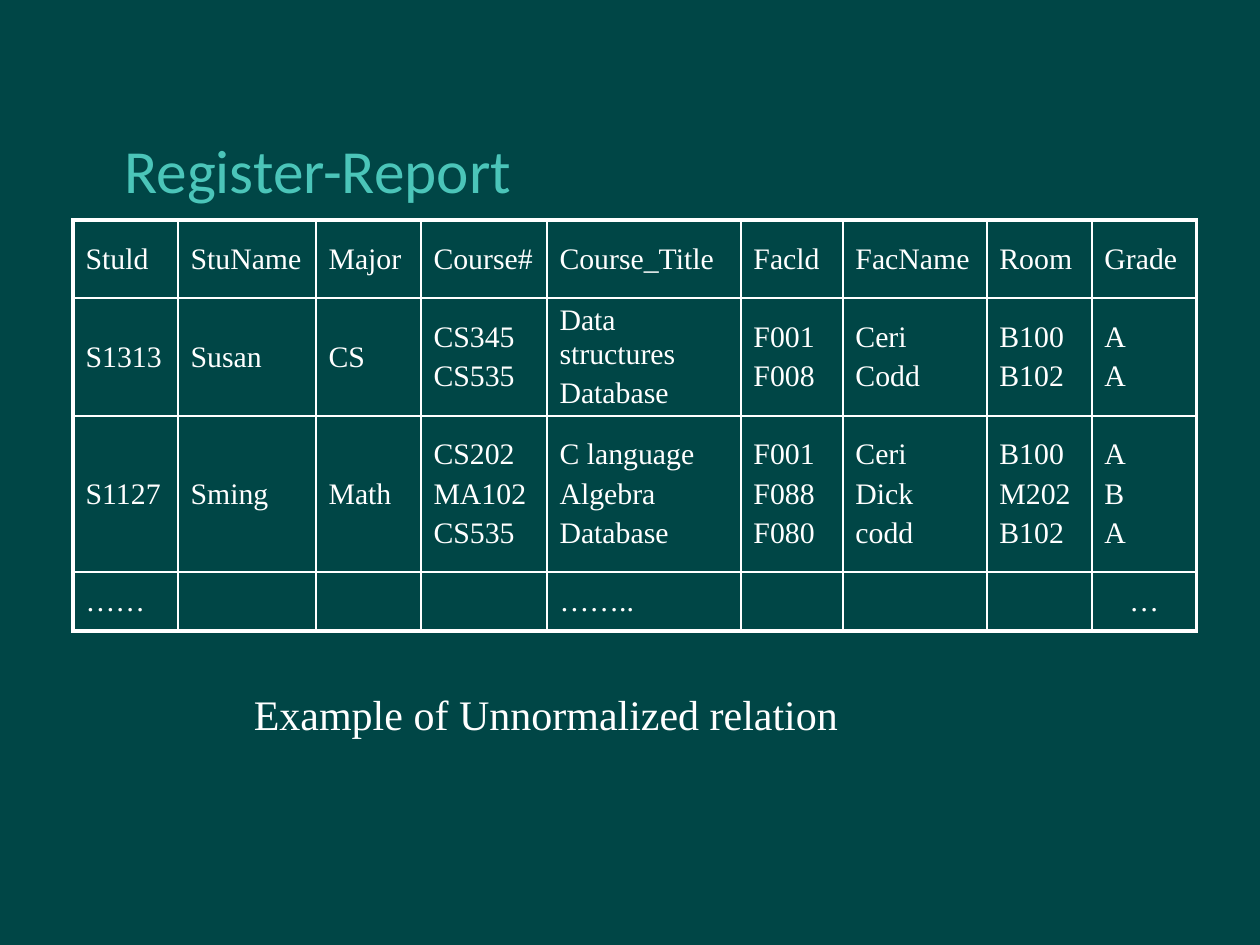
from lxml.etree import SubElement
from pptx import Presentation
from pptx.dml.color import RGBColor
from pptx.enum.text import MSO_ANCHOR as Anchor, PP_ALIGN as Align
from pptx.oxml.ns import qn
from pptx.util import Emu, Pt

BACK, ACCENT, WHITE = "004646", "4BC5B9", "FFFFFF"
SERIF = "Times New Roman"
THIN, THICK = 1, 2.25

TEXTS = [
    {"text": "Register-Report", "box": (112, 105, 964, 129), "anchor": Anchor.MIDDLE,
     "font": {"name": "Calibri", "size": Pt(35)}, "color": ACCENT},
    {"text": " Example of Unnormalized relation", "box": (231, 682, 872, 63), "anchor": Anchor.TOP,
     "font": {"name": SERIF, "size": Pt(24)}, "color": WHITE},
]
TABLE_AT = (73, 220)
COLS = [105, 138, 105, 126, 194, 102, 144, 105, 105]
ROW_HEIGHTS = [78, 118, 156, 59]
ROWS = [
    ["Stuld", "StuName", "Major", "Course#", "Course_Title", "Facld", "FacName", "Room", "Grade"],
    ["S1313", "Susan", "CS", "CS345\nCS535", "Data structures\nDatabase", "F001\nF008",
     "Ceri\nCodd", "B100\nB102", "A\nA"],
    ["S1127", "Sming", "Math", "CS202\nMA102\nCS535", "C language\nAlgebra\nDatabase",
     "F001\nF088\nF080", "Ceri\nDick\ncodd", "B100\nM202\nB102", "A\nB\nA"],
    ["……", "", "", "", "……..", "", "", "", "…"],
]
CELL_FONT = {"name": SERIF, "size": Pt(17)}


def px(n):
    """Turn pixels into EMU."""
    return Emu(round(n * 914400 / 126))


def rgb(color):
    """Turn a hex string into a colour."""
    return RGBColor.from_string(color)


CELL_FORMAT = {"vertical_anchor": Anchor.MIDDLE, "margin_top": px(2), "margin_bottom": px(2)}


def write(tf, text, font, color):
    """Fill a text frame, one paragraph a line."""
    for i, line in enumerate(text.split("\n")):
        p = tf.paragraphs[0] if i == 0 else tf.add_paragraph()
        if i:
            p.space_before = Pt(3.4)
        if line:
            r = p.add_run()
            r.text = line
            for key, value in font.items():
                setattr(r.font, key, value)
            r.font.color.rgb = rgb(color)


def set_borders(cell, widths):
    """Draw the four sides of a cell, given in the order L, R, T, B."""
    tc_pr = cell._tc.get_or_add_tcPr()
    for i, (side, width) in enumerate(zip("LRTB", widths)):
        ln = SubElement(tc_pr, qn(f"a:ln{side}"), w=str(Pt(width)))
        SubElement(SubElement(ln, qn("a:solidFill")), qn("a:srgbClr"), val=WHITE)
        tc_pr.insert(i, ln)


def add_text(s, item):
    """Add one text box."""
    tf = s.shapes.add_textbox(*map(px, item["box"])).text_frame
    tf.word_wrap = True
    tf.vertical_anchor = item["anchor"]
    write(tf, item["text"], item["font"], item["color"])


def add_report(s):
    """Add the report table with a thick outer frame."""
    size = sum(COLS), sum(ROW_HEIGHTS)
    table = s.shapes.add_table(len(ROWS), len(COLS), *map(px, TABLE_AT + size)).table
    table.first_row = table.horz_banding = False
    for col, width in zip(table.columns, COLS):
        col.width = px(width)
    for row, height in zip(table.rows, ROW_HEIGHTS):
        row.height = px(height)
    last_row, last_col = len(ROWS) - 1, len(COLS) - 1
    for y, texts in enumerate(ROWS):
        for x, text in enumerate(texts):
            cell = table.cell(y, x)
            cell.fill.background()
            for key, value in CELL_FORMAT.items():
                setattr(cell, key, value)
            write(cell.text_frame, text, CELL_FONT, WHITE)
            outer = (x == 0, x == last_col, y == 0, y == last_row)
            set_borders(cell, [THICK if edge else THIN for edge in outer])
    table.cell(last_row, last_col).text_frame.paragraphs[0].alignment = Align.CENTER


def main():
    """Build the slide."""
    prs = Presentation()
    prs.slide_width, prs.slide_height = px(1260), px(945)
    s = prs.slides.add_slide(prs.slide_layouts[6])
    s.background.fill.solid()
    s.background.fill.fore_color.rgb = rgb(BACK)
    title, caption = TEXTS
    add_text(s, title)
    add_report(s)
    add_text(s, caption)
    prs.save("out.pptx")


if __name__ == "__main__":
    main()
